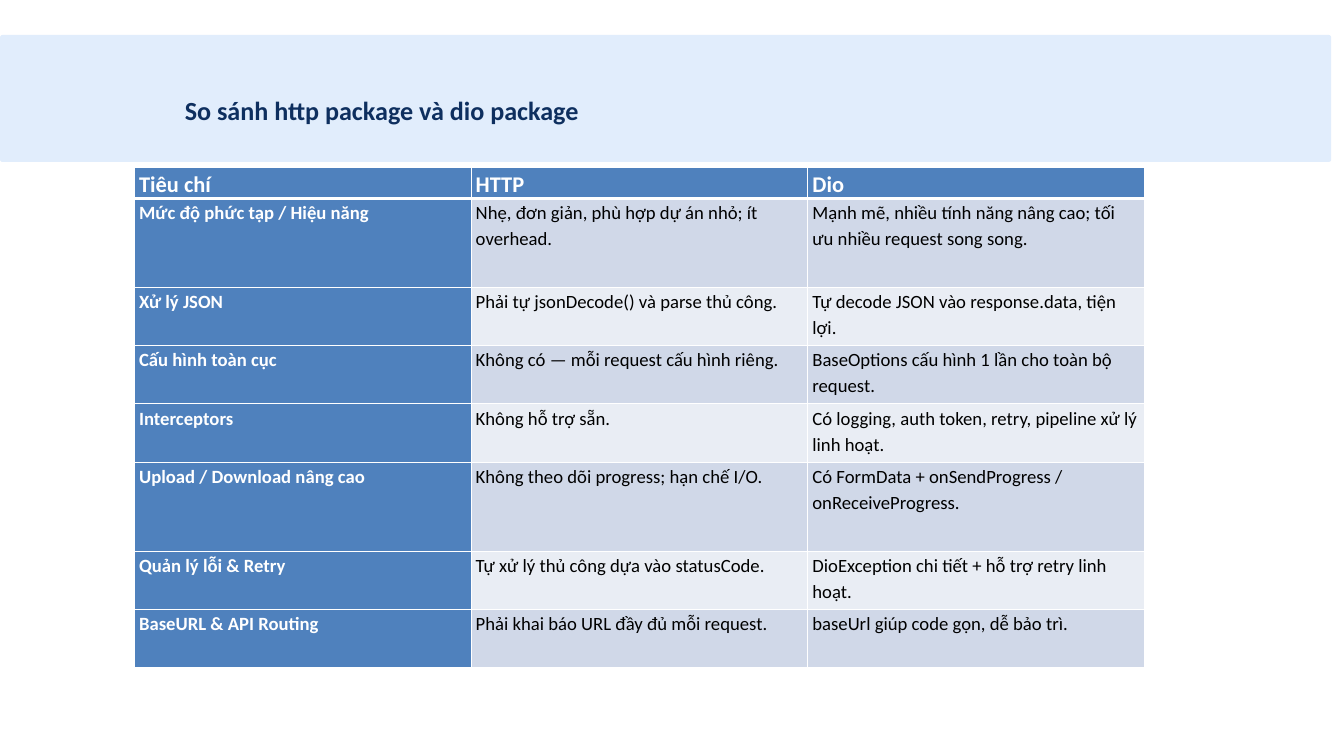
from dataclasses import dataclass

from lxml import etree
from pptx import Presentation
from pptx import util as u
from pptx.dml.color import RGBColor
from pptx.enum import shapes, text
from pptx.oxml import ns


@dataclass(frozen=True)
class Theme:
    font: str = "Calibri"
    band: str = "E1EDFC"
    title: str = "0E2F5F"
    accent: str = "4F81BD"
    stripes: tuple = ("E9EDF4", "D0D8E8")
    white: str = "FFFFFF"
    black: str = "000000"
    title_size: int = 28
    head_size: int = 24
    body_size: int = 20


def add_run(p, words, size, color, bold):
    r = p.add_run()
    r.text = words
    r.font.name = theme.font
    r.font.size = u.Pt(size)
    r.font.bold = bold
    r.font.color.rgb = RGBColor.from_string(color)


def add_border(cell, side, points):
    ln = etree.SubElement(cell._tc.get_or_add_tcPr(), ns.qn(f"a:ln{side}"), w=str(u.Pt(points)))
    fill = etree.SubElement(ln, ns.qn("a:solidFill"))
    etree.SubElement(fill, ns.qn("a:srgbClr"), val=theme.white)


theme = Theme()
rows = [
    ("Tiêu chí", "HTTP", "Dio"),
    ("Mức độ phức tạp / Hiệu năng", "Nhẹ, đơn giản, phù hợp dự án nhỏ; ít overhead.",
     "Mạnh mẽ, nhiều tính năng nâng cao; tối ưu nhiều request song song."),
    ("Xử lý JSON", "Phải tự jsonDecode() và parse thủ công.",
     "Tự decode JSON vào response.data, tiện lợi."),
    ("Cấu hình toàn cục", "Không có — mỗi request cấu hình riêng.",
     "BaseOptions cấu hình 1 lần cho toàn bộ request."),
    ("Interceptors", "Không hỗ trợ sẵn.",
     "Có logging, auth token, retry, pipeline xử lý linh hoạt."),
    ("Upload / Download nâng cao", "Không theo dõi progress; hạn chế I/O.",
     "Có FormData + onSendProgress / onReceiveProgress."),
    ("Quản lý lỗi & Retry", "Tự xử lý thủ công dựa vào statusCode.",
     "DioException chi tiết + hỗ trợ retry linh hoạt."),
    ("BaseURL & API Routing", "Phải khai báo URL đầy đủ mỗi request.",
     "baseUrl giúp code gọn, dễ bảo trì."),
]
heights = [0.44, 1.32, 0.87, 0.87, 0.87, 1.32, 0.87, 0.87]

prs = Presentation()
prs.slide_width = u.Inches(20)
prs.slide_height = u.Inches(11.25)
s = prs.slides.add_slide(prs.slide_layouts[6])

band = s.shapes.add_shape(shapes.MSO_SHAPE.ROUNDED_RECTANGLE,
                          u.Inches(0), u.Inches(0.52), u.Inches(19.81), u.Inches(1.89))
band.adjustments[0] = 0.02
band.shadow.inherit = False
band.fill.solid()
band.fill.fore_color.rgb = RGBColor.from_string(theme.band)
band.line.fill.background()

title = s.shapes.add_textbox(u.Inches(2.75), u.Inches(1.08), u.Inches(12.35), u.Inches(0.71))
tf = title.text_frame
tf.word_wrap = True
tf.auto_size = text.MSO_AUTO_SIZE.SHAPE_TO_FIT_TEXT
tf.margin_left = tf.margin_right = tf.margin_top = tf.margin_bottom = 0
p = tf.paragraphs[0]
p.line_spacing = u.Pt(57.1)
add_run(p, "So sánh http package và dio package", theme.title_size, theme.title, True)

table = s.shapes.add_table(len(rows), 3, u.Inches(2), u.Inches(2.49),
                           u.Inches(15.04), u.Inches(sum(heights))).table
for col in table.columns:
    col.width = u.Inches(5.01)

for i, (row, height) in enumerate(zip(rows, heights)):
    table.rows[i].height = u.Inches(height)
    for j, words in enumerate(row):
        head = i == 0 or j == 0
        cell = table.cell(i, j)
        cell.margin_left = cell.margin_right = u.Inches(0.07)
        cell.margin_top = cell.margin_bottom = 0
        for side in "LRTB":
            thick = (i, side) in ((0, "B"), (1, "T"))
            add_border(cell, side, 3 if thick else 1)
        cell.fill.solid()
        cell.fill.fore_color.rgb = RGBColor.from_string(theme.accent if head else theme.stripes[i % 2])
        p = cell.text_frame.paragraphs[0]
        p.line_spacing = 1.15
        p.space_after = u.Pt(10)
        add_run(p, words, theme.body_size if i else theme.head_size,
                theme.white if head else theme.black, head)

prs.save("out.pptx")
